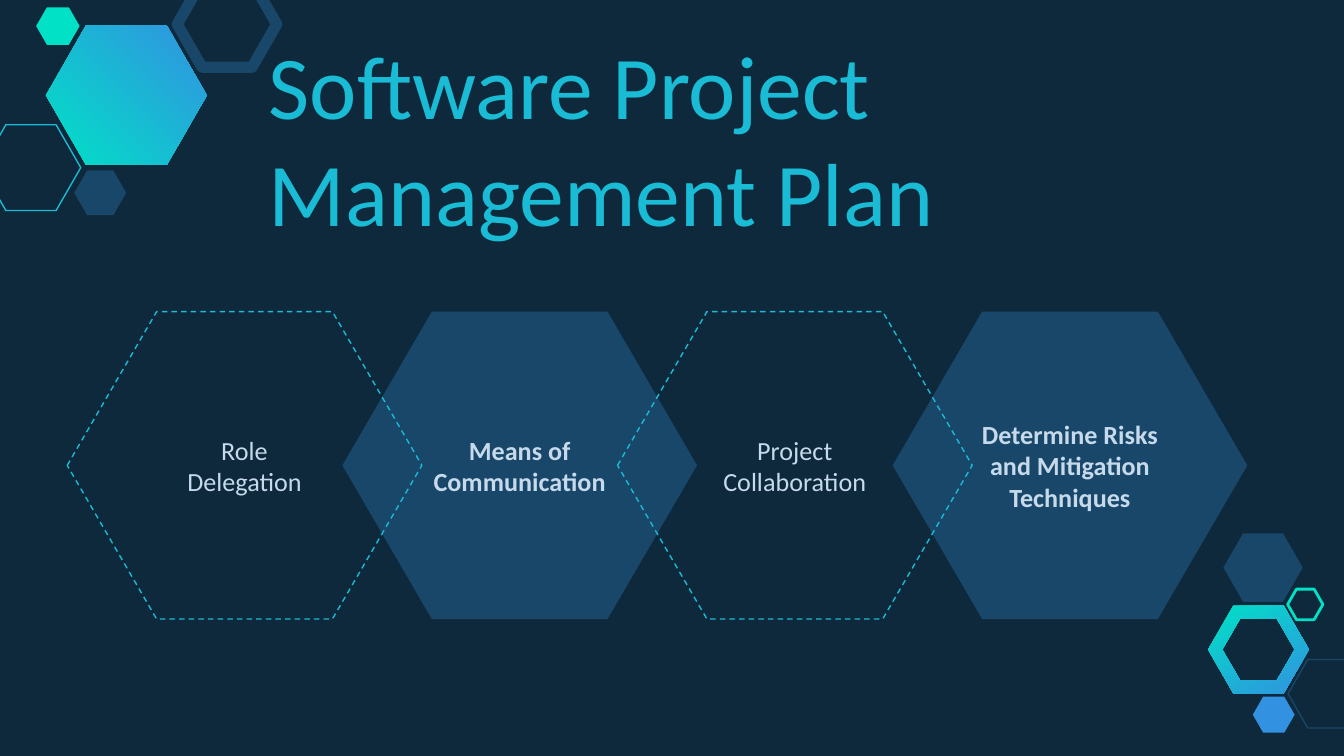
from pptx import Presentation
from pptx.dml.color import RGBColor
from pptx.enum.dml import MSO_LINE_DASH_STYLE as Dash
from pptx.enum.shapes import MSO_SHAPE as Shape
from pptx.enum.text import MSO_ANCHOR as Anchor, MSO_AUTO_SIZE as AutoSize, PP_ALIGN as Align
from pptx.util import Pt

NAVY, STEEL, CYAN = "0E293C", "184769", "19BBD5"
TEAL, BLUE, PALE = "00E1C6", "3292E1", "C6DAEC"


def color(value):
    return RGBColor.from_string(value)


def paint(shape, fill=None, line=None, width=0.75, angle=None):
    """Fill and outline a shape; an angle blends teal into blue instead."""
    shape.shadow.inherit = False
    if angle is not None:
        shape.fill.gradient()
        shape.fill.gradient_angle = angle
        for stop, value in zip(shape.fill.gradient_stops, (TEAL, BLUE)):
            stop.color.rgb = color(value)
    elif fill:
        shape.fill.solid()
        shape.fill.fore_color.rgb = color(fill)
    else:
        shape.fill.background()
    if line:
        shape.line.color.rgb = color(line)
        shape.line.width = Pt(width)
    else:
        shape.line.fill.background()


deck = Presentation()
deck.slide_width, deck.slide_height = Pt(720), Pt(405)
page = deck.slides.add_slide(deck.slide_layouts[5])
page.background.fill.solid()
page.background.fill.fore_color.rgb = color(NAVY)

# Corner hexagons: left, top, width, height, style
decorations = [
    (24.6, 13.8, 86.2, 74.6, {"angle": 45}),
    (-10, 66.8, 53.3, 46, {"line": CYAN}),
    (39.8, 91.3, 27.8, 24, {"fill": STEEL}),
    (95, -10, 53.3, 46, {"line": STEEL, "width": 6}),
    (19.4, 3.9, 23.3, 20.1, {"fill": TEAL}),
    (690, 353.3, 42.5, 36.7, {"line": STEEL}),
    (671.2, 373.2, 22.4, 19.4, {"fill": BLUE}),
    (655.4, 285.7, 42.5, 36.7, {"fill": STEEL}),
    (689.8, 315.6, 18.9, 16.4, {"line": TEAL, "width": 1.5}),
]
for left, top, width, height, style in decorations:
    hexagon = page.shapes.add_shape(Shape.HEXAGON, Pt(left), Pt(top), Pt(width), Pt(height))
    hexagon.adjustments[0] = 0.287
    paint(hexagon, **style)

# Gradient ring: outer and inner contour around one centre
center_x, center_y = 674.2, 348
builder = None
for radius, half_side, half_height in [(27, 13.5, 23.5), (19.4, 9.8, 16.5)]:
    corners = [(center_x + x, center_y + y) for x, y in [
        (-half_side, half_height), (-radius, 0), (-half_side, -half_height),
        (half_side, -half_height), (radius, 0), (half_side, half_height)]]
    start, *others = [(Pt(x), Pt(y)) for x, y in corners]
    if builder is None:
        builder = page.shapes.build_freeform(*start)
    else:
        builder.move_to(*start)
    builder.add_line_segments(others, close=True)
paint(builder.convert_to_shape(), angle=302)

title = page.shapes.title
title.left, title.top, title.width, title.height = Pt(136.8), Pt(7.9), Pt(581), Pt(130.3)
frame = title.text_frame
frame.text = "Software Project Management Plan"
frame.word_wrap = True
frame.auto_size = AutoSize.NONE
frame.vertical_anchor = Anchor.BOTTOM
frame.margin_left = frame.margin_right = frame.margin_top = frame.margin_bottom = Pt(7.2)
para = frame.paragraphs[0]
para.alignment = Align.LEFT
span = para.runs[0]
span.font.name, span.font.size = "Calibri", Pt(48)
span.font.color.rgb = color(CYAN)

# Chain of topics: dashed links lie over the filled ones
topics = [
    (1, "Means of Communication"),
    (3, "Determine Risks and Mitigation Techniques"),
    (0, "Role\nDelegation"),
    (2, "Project Collaboration"),
]
for position, text in topics:
    filled = position % 2 == 1
    link = page.shapes.add_shape(
        Shape.HEXAGON, Pt(36 + 147.4 * position), Pt(167), Pt(190), Pt(164.7))
    link.adjustments[0] = 0.291
    if filled:
        paint(link, fill=STEEL)
    else:
        paint(link, line=CYAN)
        link.line.dash_style = Dash.DASH
    frame = link.text_frame
    frame.text = text
    frame.word_wrap = True
    frame.vertical_anchor = Anchor.MIDDLE
    frame.margin_left = frame.margin_right = frame.margin_top = frame.margin_bottom = Pt(7.2)
    for para in frame.paragraphs:
        para.alignment = Align.CENTER
        for span in para.runs:
            span.font.name, span.font.size, span.font.bold = "Calibri", Pt(14), filled
            span.font.color.rgb = color(PALE)

deck.save("out.pptx")
